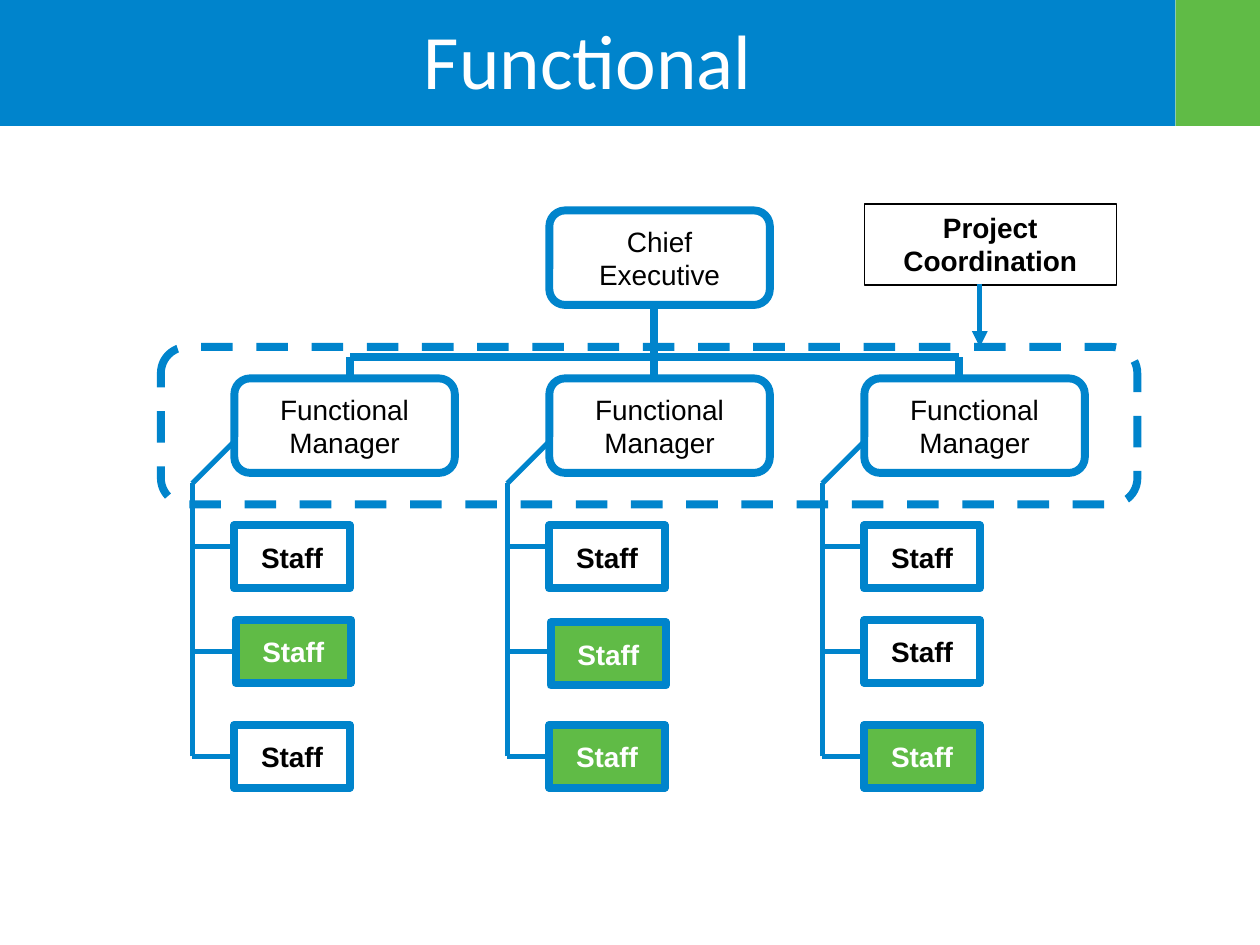
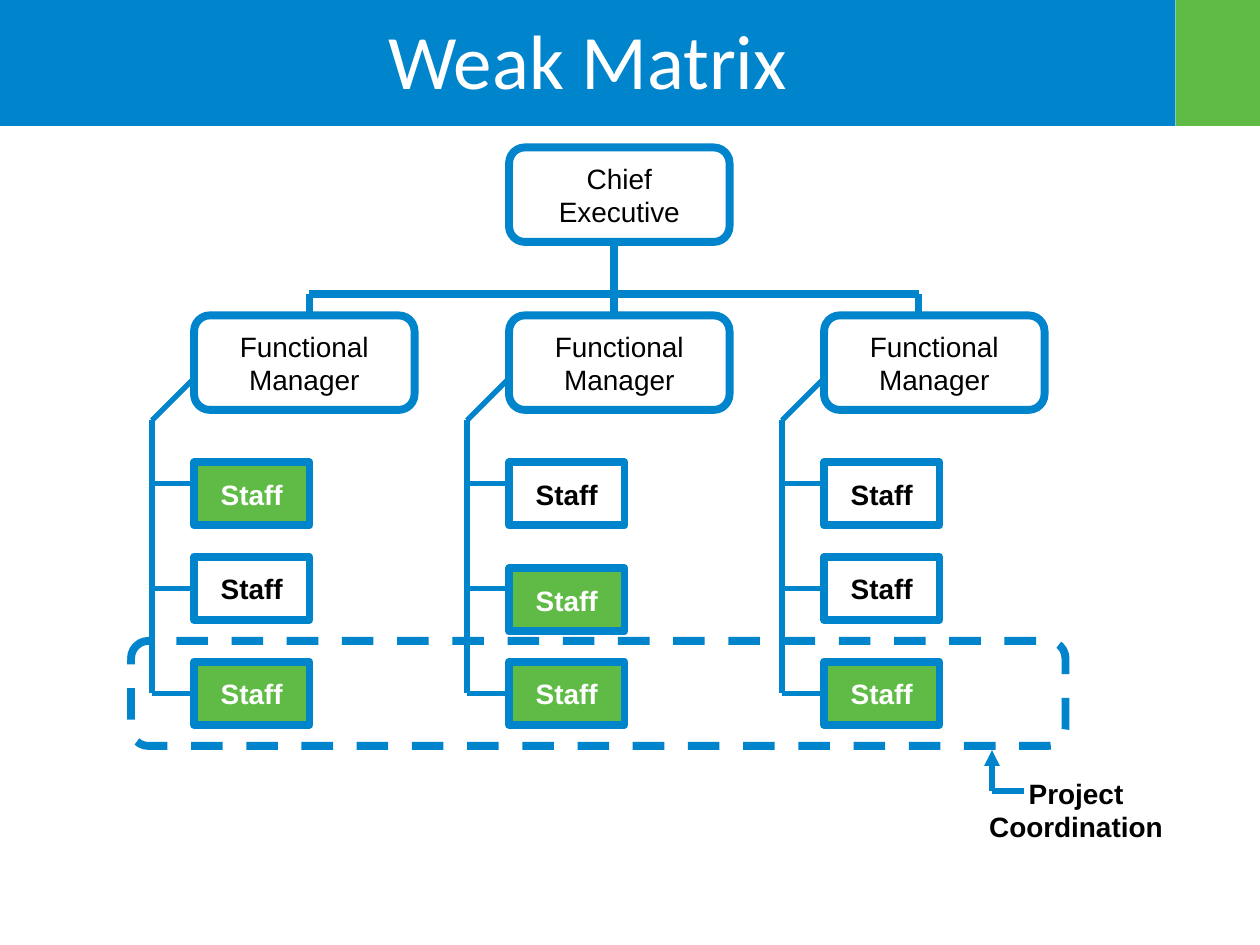
from dataclasses import dataclass
from typing import Optional

from lxml.etree import SubElement
from pptx import Presentation
from pptx.dml.color import RGBColor
from pptx.enum.dml import MSO_LINE
from pptx.enum.shapes import MSO_CONNECTOR, MSO_SHAPE as Preset
from pptx.enum.text import MSO_ANCHOR as Anchor, MSO_AUTO_SIZE, PP_ALIGN
from pptx.oxml.ns import qn
from pptx.util import Inches, Pt

COLORS = {"blue": "0084CC", "green": "60BB46", "white": "FFFFFF", "black": "000000"}
SLIDE_WIDTH, SLIDE_HEIGHT = 10, 7.5
BAND_HEIGHT, BAND_SPLIT = 1, 9.33
CELL = 1 / 12  # chart grid, in inches

# Chart grid: columns and rows counted from the chart's top left corner
COLUMN_STEP, COLUMN_COUNT = 30, 3
ROLE_SIZE = (21, 9)
STAFF_SIZE = (11, 6)
MANAGER_ROW, BAR_ROW = 16, 14
DROP_COLUMNS = (11, 40, 69)
STAFF_ROWS = (30, 39, 49)
RUNG_ROWS = (32, 42, 52)
RAIL_OFFSET, RAIL_TOP, MANAGER_EXIT = 4, 26, 22
THICK, MEDIUM, THIN = 4.5, 3, 0.75

Point = tuple[float, float]
Cell = tuple[int, int]


@dataclass(frozen=True)
class Box:
    column: float
    row: float
    width: float
    height: float


@dataclass(frozen=True)
class OrgChart:
    title: str
    left: float
    top: float
    assigned: frozenset[Cell]  # (column, row) of staff working on projects
    nudges: dict[Cell, Point]
    coordination_frame: Box
    note: Box
    note_line: Optional[str]
    pointer: tuple[Point, ...]  # the last point carries the arrowhead


CHARTS = (
    OrgChart(
        title="Functional", left=1.86, top=1.67,
        assigned=frozenset({(0, 1), (1, 1), (1, 2), (2, 2)}),
        nudges={(0, 1): (0.12, 0), (1, 1): (0.12, 0.24)},
        coordination_frame=Box(-7, 13, 93, 15),
        note=Box(60, -0.6, 24, 7.7), note_line="black",
        pointer=((71, 7), (71, 13)),
    ),
    OrgChart(
        title="Weak Matrix", left=1.54, top=1.17,
        assigned=frozenset({(0, 0), (0, 2), (1, 1), (1, 2), (2, 2)}),
        nudges={(1, 1): (0, 1.1)},
        coordination_frame=Box(-6, 47, 89, 10),
        note=Box(73, 59.3, 22, 7.7), note_line=None,
        pointer=((79, 61.3), (76, 61.3), (76, 57.4)),
    ),
)


def rgb(name: str) -> RGBColor:
    return RGBColor.from_string(COLORS[name])


def write_text(frame, text: str, *, size: float = 16, font: str = "Arial",
               color: str = "black", bold: bool = False, wrap: bool = False,
               anchor: Anchor = Anchor.MIDDLE) -> None:
    frame.word_wrap = wrap
    frame.auto_size = MSO_AUTO_SIZE.NONE
    frame.vertical_anchor = anchor
    paragraph = frame.paragraphs[0]
    paragraph.text = text
    paragraph.alignment = PP_ALIGN.CENTER
    for run in paragraph.runs:
        run.font.size, run.font.name, run.font.bold = Pt(size), font, bold
        run.font.color.rgb = rgb(color)


def add_panel(slide, preset: Preset, left: float, top: float, width: float, height: float,
              *, fill: Optional[str] = None, line: Optional[str] = None,
              weight: float = THICK):
    """Add a preset shape, with lengths in inches."""
    shape = slide.shapes.add_shape(
        preset, *(Inches(value) for value in (left, top, width, height)))
    shape.shadow.inherit = False
    if fill:
        shape.fill.solid()
        shape.fill.fore_color.rgb = rgb(fill)
    else:
        shape.fill.background()
    if line:
        shape.line.color.rgb = rgb(line)
        shape.line.width = Pt(weight)
    else:
        shape.line.fill.background()
    return shape


def add_box(slide, chart: OrgChart, preset: Preset, box: Box, **look):
    """Add a preset shape placed on the chart's grid."""
    return add_panel(slide, preset, chart.left + box.column * CELL,
                     chart.top + box.row * CELL, box.width * CELL, box.height * CELL, **look)


def add_line(slide, chart: OrgChart, start: Point, end: Point, *,
             weight: float = MEDIUM, arrow: bool = False) -> None:
    ends = [Inches(origin + value * CELL)
            for point in (start, end)
            for origin, value in zip((chart.left, chart.top), point)]
    connector = slide.shapes.add_connector(MSO_CONNECTOR.STRAIGHT, *ends)
    connector.line.color.rgb = rgb("blue")
    connector.line.width = Pt(weight)
    if arrow:
        SubElement(connector.line._get_or_add_ln(), qn("a:tailEnd"), type="triangle")
    SubElement(connector.element.spPr, qn("a:effectLst"))


def add_header(slide, title: str) -> None:
    add_panel(slide, Preset.RECTANGLE, 0, 0, BAND_SPLIT, BAND_HEIGHT, fill="blue")
    add_panel(slide, Preset.RECTANGLE, BAND_SPLIT, 0, SLIDE_WIDTH - BAND_SPLIT,
              BAND_HEIGHT, fill="green")
    placeholder = slide.shapes.title
    placeholder.left, placeholder.top = Inches(0.08), Inches(0.03)
    placeholder.width, placeholder.height = Inches(9.17), Inches(0.88)
    write_text(placeholder.text_frame, title, size=44, font="Calibri",
               color="white", wrap=True)
    slide.shapes.element.append(placeholder.element)  # bring in front of the bands


def add_role(slide, chart: OrgChart, column: float, row: float, text: str) -> None:
    shape = add_box(slide, chart, Preset.ROUNDED_RECTANGLE,
                    Box(column, row, *ROLE_SIZE), line="blue")
    write_text(shape.text_frame, text)


def add_staff(slide, chart: OrgChart, cell: Cell) -> None:
    across, down = chart.nudges.get(cell, (0, 0))
    box = Box(cell[0] * COLUMN_STEP + across, STAFF_ROWS[cell[1]] + down, *STAFF_SIZE)
    assigned = cell in chart.assigned
    shape = add_box(slide, chart, Preset.RECTANGLE, box, line="blue",
                    fill="green" if assigned else None)
    write_text(shape.text_frame, "Staff", bold=True,
               color="white" if assigned else "black")


def add_department(slide, chart: OrgChart, index: int) -> None:
    """Add one manager with the staff hanging from a rail on the left."""
    left = index * COLUMN_STEP
    rail = left - RAIL_OFFSET
    add_role(slide, chart, left, MANAGER_ROW, "Functional\nManager")
    for row in RUNG_ROWS:
        add_line(slide, chart, (left, row), (rail, row))
    add_line(slide, chart, (rail, RUNG_ROWS[-1]), (rail, RAIL_TOP))
    add_line(slide, chart, (left, MANAGER_EXIT), (rail, RAIL_TOP))
    for position in range(len(STAFF_ROWS)):
        add_staff(slide, chart, (index, position))


def add_executive(slide, chart: OrgChart) -> None:
    """Add the chief executive and the bar leading to the managers."""
    add_role(slide, chart, COLUMN_STEP, 0, "Chief\nExecutive")
    first, middle, last = DROP_COLUMNS
    add_line(slide, chart, (first, BAR_ROW), (last, BAR_ROW), weight=THICK)
    for column in DROP_COLUMNS:
        start_row = ROLE_SIZE[1] if column == middle else BAR_ROW
        add_line(slide, chart, (column, start_row), (column, MANAGER_ROW), weight=THICK)


def add_coordination(slide, chart: OrgChart) -> None:
    """Add the dashed frame, its note and the pointer between them."""
    frame = add_box(slide, chart, Preset.ROUNDED_RECTANGLE,
                    chart.coordination_frame, line="blue")
    frame.line.dash_style = MSO_LINE.DASH
    note = add_box(slide, chart, Preset.RECTANGLE, chart.note,
                   line=chart.note_line, weight=THIN)
    write_text(note.text_frame, "Project Coordination", bold=True, wrap=True,
               anchor=Anchor.TOP)
    for start, end in zip(chart.pointer, chart.pointer[1:]):
        add_line(slide, chart, start, end, arrow=end == chart.pointer[-1])


def main() -> None:
    presentation = Presentation()
    presentation.slide_width = Inches(SLIDE_WIDTH)
    presentation.slide_height = Inches(SLIDE_HEIGHT)
    title_only = presentation.slide_layouts[5]
    for chart in CHARTS:
        slide = presentation.slides.add_slide(title_only)
        add_header(slide, chart.title)
        for index in range(COLUMN_COUNT):
            add_department(slide, chart, index)
        add_executive(slide, chart)
        add_coordination(slide, chart)
    presentation.save("out.pptx")


if __name__ == "__main__":
    main()
